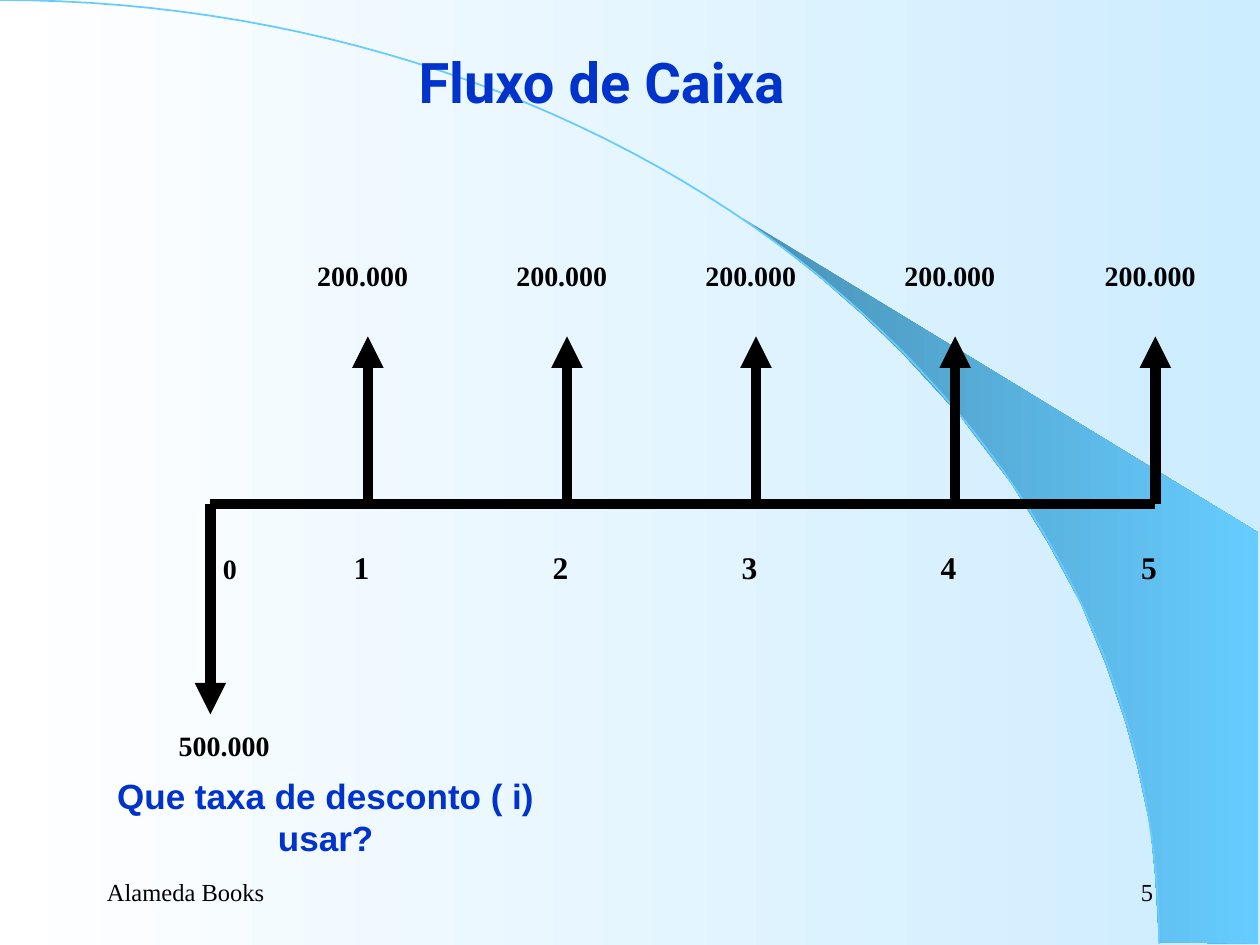
import math
from lxml import etree
from pptx import Presentation
from pptx import util as u
from pptx.dml.color import RGBColor
from pptx.enum import shapes, text
from pptx.oxml import ns

BLACK = RGBColor(0x00, 0x00, 0x00)
WHITE = RGBColor(0xFF, 0xFF, 0xFF)
BLUE = RGBColor(0x00, 0x33, 0xCC)
SKY = RGBColor(0x66, 0xCC, 0xFF)
STEEL = RGBColor(0x49, 0x92, 0xB6)
PALE = RGBColor(0xCC, 0xEC, 0xFF)
SERIF, SANS, TITLE = "Times New Roman", "Arial", "Roboto"
ALIGN = text.PP_ALIGN


class Deck:
    def __init__(self, width, height):
        self.prs = Presentation()
        self.prs.slide_width = u.Inches(width)
        self.prs.slide_height = u.Inches(height)
        self.s = self.prs.slides.add_slide(self.prs.slide_layouts[6])

    def gradient(self, fill, *colors):
        fill.gradient()
        fill.gradient_angle = 0
        for stop, color in zip(fill.gradient_stops, colors):
            stop.color.rgb = color

    def outline(self, points, closed):
        pts = [(u.Inches(x), u.Inches(y)) for x, y in points]
        fb = self.s.shapes.build_freeform(*pts[0])
        fb.add_line_segments(pts[1:], close=closed)
        sp = fb.convert_to_shape()
        sp.shadow.inherit = False
        return sp

    def line(self, x1, y1, x2, y2, arrow=True):
        c = self.s.shapes.add_connector(
            shapes.MSO_CONNECTOR.STRAIGHT, *map(u.Inches, (x1, y1, x2, y2)))
        c.line.color.rgb = BLACK
        c.line.width = u.Pt(6)
        if arrow:
            etree.SubElement(c.line._get_or_add_ln(), ns.qn("a:tailEnd"), type="triangle")
        etree.SubElement(c._element.spPr, ns.qn("a:effectLst"))

    def label(self, words, x, y, w, h, size, font=SERIF, color=BLACK, bold=True,
              align=ALIGN.LEFT, anchor=text.MSO_ANCHOR.TOP, inset=0.1):
        sp = self.s.shapes.add_textbox(*map(u.Inches, (x, y, w, h)))
        tf = sp.text_frame
        tf.word_wrap = True
        tf.vertical_anchor = anchor
        tf.margin_left = tf.margin_right = u.Inches(inset)
        p = tf.paragraphs[0]
        p.alignment = align
        p.font.name, p.font.size, p.font.bold = font, u.Pt(size), bold
        p.font.color.rgb = color
        for word in words:
            p.add_run().text = word
        return p

    def row(self, words, centers, x, *args, **style):
        p = self.label(words, x, *args, **style)
        tabs = etree.Element(ns.qn("a:tabLst"))
        for center in centers:
            etree.SubElement(tabs, ns.qn("a:tab"), pos=str(u.Inches(center - x - 0.1)), algn="ctr")
        p._p.get_or_add_pPr().insert(0, tabs)
        return p


deck = Deck(10, 7.5)
deck.gradient(deck.s.background.fill, WHITE, PALE)

swoosh = deck.outline([
    (9.2, 7.48), (9.99, 7.49), (9.99, 4.23), (5.89, 1.73), (6.24, 1.99), (6.53, 2.22),
    (6.85, 2.5), (7.16, 2.8), (7.62, 3.3), (8.03, 3.84), (8.32, 4.31), (8.58, 4.79),
    (8.78, 5.28), (8.93, 5.72), (9.03, 6.09), (9.13, 6.56), (9.17, 6.96)], True)
deck.gradient(swoosh.fill, STEEL, SKY)
swoosh.line.fill.background()

STEPS = 60
angles = [math.pi / 2 * i / STEPS for i in range(STEPS + 1)]
arc = deck.outline([(9.2 * math.sin(a), 7.49 * (1 - math.cos(a))) for a in angles], False)
arc.fill.background()
arc.line.color.rgb = SKY
arc.line.width = u.Pt(1)

MIDDLE = text.MSO_ANCHOR.MIDDLE
deck.label(["Alameda Books"], 0.75, 6.83, 2.08, 0.5, 14, bold=False, anchor=MIDDLE)
deck.label(["5"], 7.17, 6.83, 2.08, 0.5, 14, bold=False, align=ALIGN.RIGHT, anchor=MIDDLE)
deck.label(["Fluxo de Caixa"], 0.42, 0.33, 8.71, 0.63, 32, TITLE, BLUE, align=ALIGN.CENTER)

START, AXIS = 1.67, 4
YEARS = [2.92, 4.5, 6, 7.58, 9.17]
deck.line(START, AXIS, YEARS[-1], AXIS, arrow=False)
for year in YEARS:
    deck.line(year, AXIS, year, 2.67)
deck.line(START, AXIS, START, 5.67)

deck.row(["\t200.000" * len(YEARS)], [x - 0.04 for x in YEARS], 1.32, 2, 8.43, 0.37, 16)
numbers = "".join(f"\t{n}" for n in range(1, len(YEARS) + 1))
periods = deck.row(["0", numbers], [x - 0.05 for x in YEARS],
                   START, 4.25, 7.92, 0.5, 18, anchor=MIDDLE)
periods.runs[0].font.size = u.Pt(16)
deck.label(["500.000"], 1.32, 5.73, 0.92, 0.37, 16)
deck.label(["Que taxa de desconto ( i) usar?"], 0.42, 6.1, 4.33, 0.43, 20, SANS, BLUE,
           align=ALIGN.CENTER, inset=0.3)

deck.prs.save("out.pptx")
